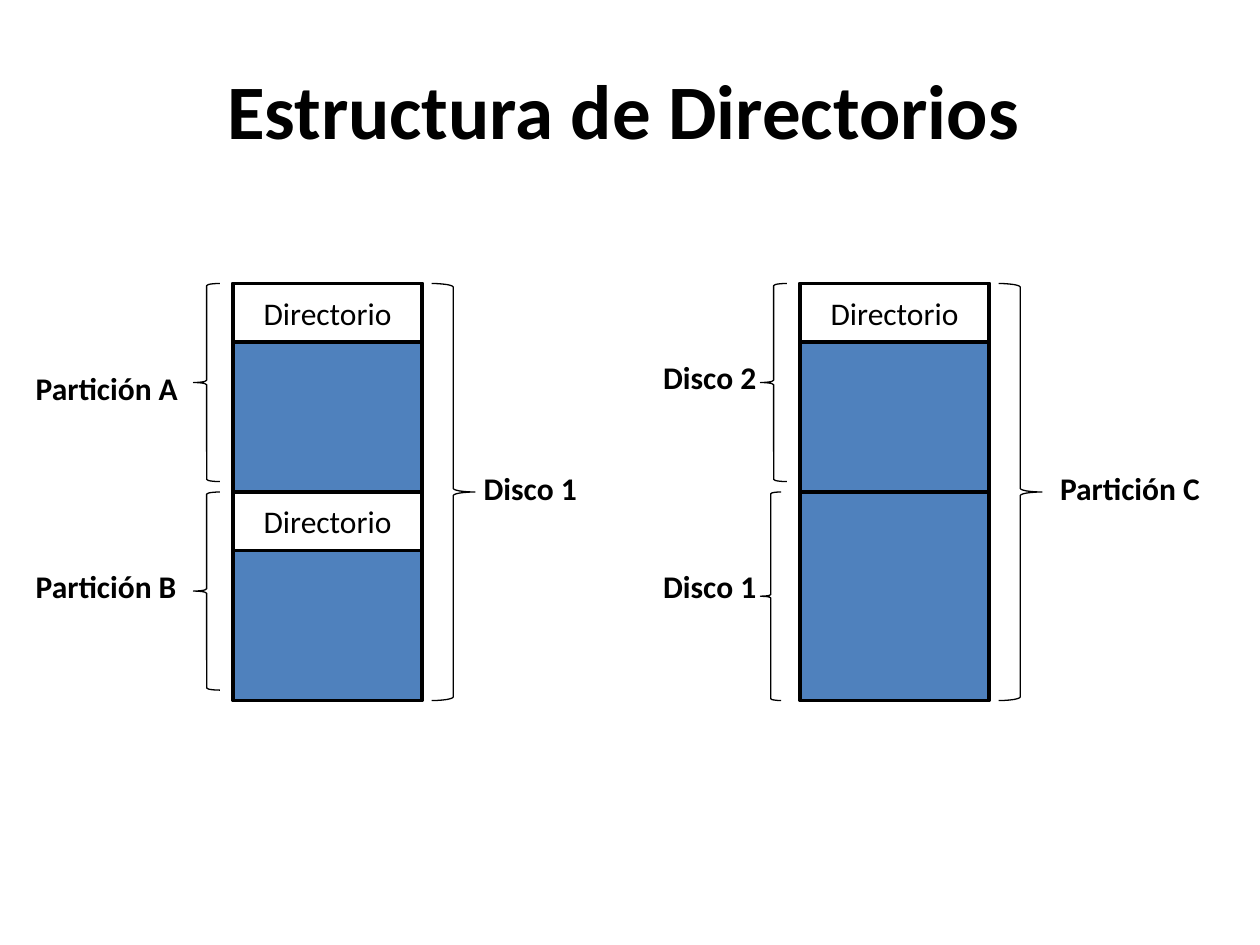
import pptx
import pptx.util
import pptx.dml.color
import pptx.enum.shapes
import pptx.enum.text
from dataclasses import dataclass

KIND = pptx.enum.shapes.MSO_SHAPE
ALIGN = pptx.enum.text.PP_ALIGN
ANCHOR = pptx.enum.text.MSO_ANCHOR


@dataclass(frozen=True)
class Theme:
    font: str = "Calibri"
    ink: str = "000000"
    fill: str = "4F81BD"
    paper: str = "FFFFFF"
    title: float = 44
    body: float = 18
    edge: float = 2
    thin: float = 0.75


@dataclass(frozen=True)
class Box:
    left: float
    top: float
    wide: float
    high: float

    def inner(self, x, y, w, h):
        """Give the box that takes these shares of this one."""
        return Box(self.left + x * self.wide, self.top + y * self.high,
                   w * self.wide, h * self.high)

    def emu(self):
        return [pptx.util.Inches(v)
                for v in (self.left, self.top, self.wide, self.high)]


THEME = Theme()
PAGE = Box(0, 0, 10, 7.5)
HEAD = 0.28     # directory height, in rows
LABEL = 0.24    # label height, in rows


def color(code):
    return pptx.dml.color.RGBColor.from_string(code)


def apply(thing, style):
    for name, value in style.items():
        setattr(thing, name, value)


def write(shape, text, size, bold, align, wrap):
    frame = shape.text_frame
    apply(frame, {"word_wrap": wrap, "vertical_anchor": ANCHOR.MIDDLE})
    para = frame.paragraphs[0]
    para.alignment = align
    run = para.add_run()
    run.text = text
    apply(run.font, {"name": THEME.font, "size": pptx.util.Pt(size), "bold": bold})
    run.font.color.rgb = color(THEME.ink)


def draw(shapes, kind, box, width, fill=None):
    shape = shapes.add_shape(kind, *box.emu())
    shape.shadow.inherit = False
    if fill:
        shape.fill.solid()
        shape.fill.fore_color.rgb = color(fill)
    else:
        shape.fill.background()
    shape.line.color.rgb = color(THEME.ink)
    shape.line.width = pptx.util.Pt(width)
    return shape


def title(shapes, box, text):
    write(shapes.add_textbox(*box.emu()), text, THEME.title, True, ALIGN.CENTER, True)


def stack(shapes, box, heads, braces, labels):
    """Two blocks in a column, with braces and labels at the sides.

    x is in shares of the box width, y in rows of half its height.
    """
    group = shapes.add_group_shape().shapes

    def place(x, y, w, h):
        return box.inner(x, y / 2, w, h / 2)

    # Blocks, some headed by a directory
    for row, head in enumerate(heads):
        draw(group, KIND.RECTANGLE, place(0, row, 1, 1), THEME.edge, THEME.fill)
        if head:
            cell = draw(group, KIND.RECTANGLE, place(0, row, 1, HEAD),
                        THEME.edge, THEME.paper)
            write(cell, head, THEME.body, False, ALIGN.CENTER, True)

    # Braces: one for each block, one for the whole
    for row, (wide, high) in enumerate(braces):
        draw(group, KIND.LEFT_BRACE, place(-0.21, row, wide, high), THEME.thin)
    draw(group, KIND.RIGHT_BRACE, place(1.05, 0, 0.23, 2), THEME.thin)

    # Labels
    for text, x, y, wide in labels:
        note = group.add_textbox(*place(x, y, wide, LABEL).emu())
        write(note, text, THEME.body, True, ALIGN.LEFT, False)


def main():
    deck = pptx.Presentation()
    apply(deck, {"slide_width": pptx.util.Inches(PAGE.wide),
                 "slide_height": pptx.util.Inches(PAGE.high)})
    shapes = deck.slides.add_slide(deck.slide_layouts[6]).shapes

    title(shapes, PAGE.inner(0.04, 0.03, 0.91, 0.17), "Estructura de Directorios")

    # One disk with two partitions
    stack(shapes, Box(1.85, 2.25, 1.5, 3.31),
          ["Directorio", "Directorio"],
          [(0.14, 0.95), (0.14, 0.95)],
          [("Partición A", -1.11, 0.38, 0.89),
           ("Partición B", -1.11, 1.33, 0.89),
           ("Disco 1", 1.26, 0.86, 0.63)])

    # One partition over two disks
    stack(shapes, Box(6.35, 2.25, 1.5, 3.31),
          ["Directorio", None],
          [(0.14, 0.95), (0.11, 1)],
          [("Disco 2", -0.79, 0.33, 0.63),
           ("Disco 1", -0.79, 1.33, 0.63),
           ("Partición C", 1.31, 0.86, 0.88)])

    deck.save("out.pptx")


if __name__ == "__main__":
    main()
